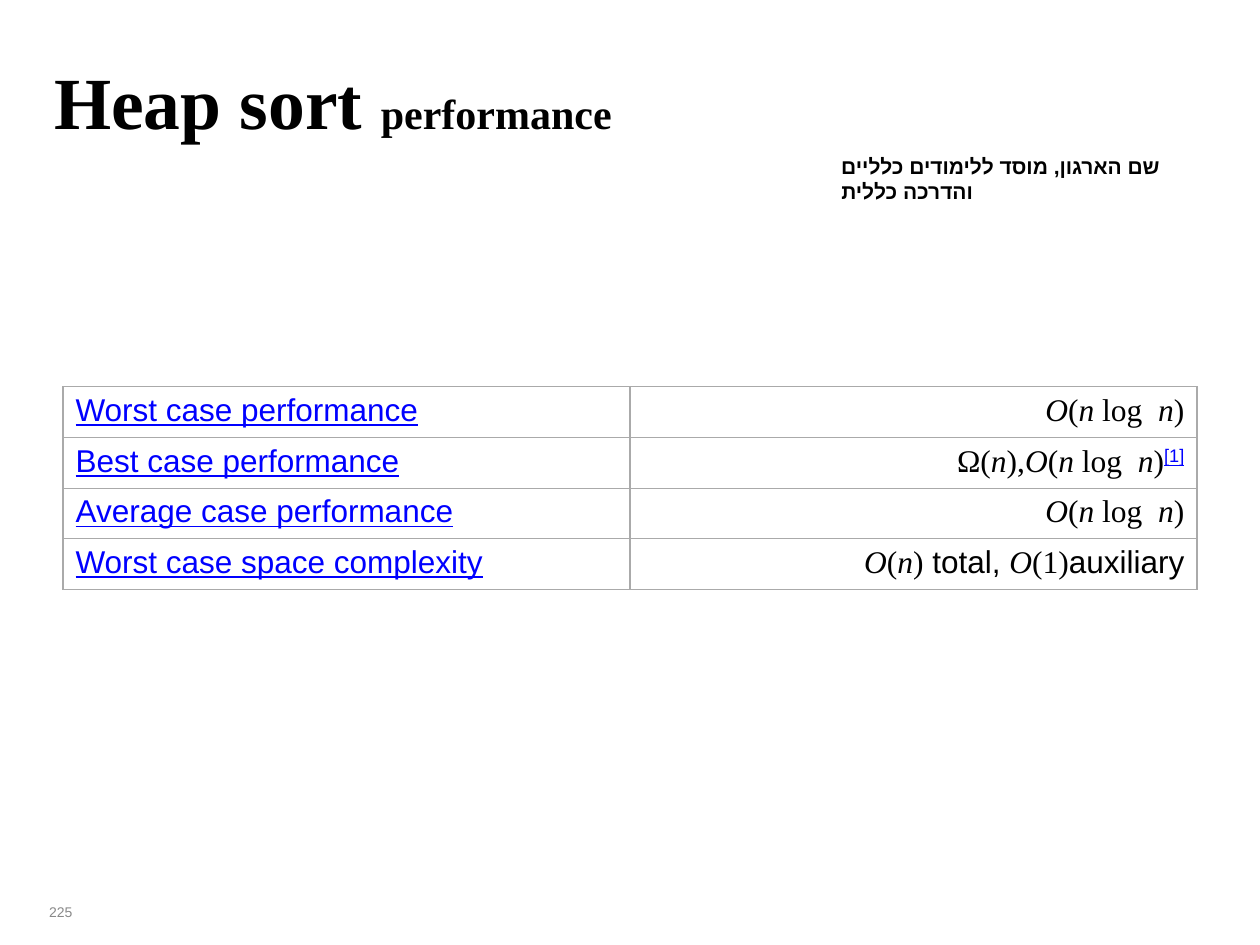
"""Build the heap sort performance slide."""
from lxml.etree import SubElement
from pptx import Presentation
from pptx.dml.color import RGBColor
from pptx.enum.text import MSO_ANCHOR as Anchor, PP_ALIGN as Align
from pptx.oxml.ns import qn
from pptx.util import Cm, Pt

SERIF, SANS = "Times New Roman", "Arial"
BLACK, BLUE, GREY, WHITE, BORDER = "000000", "0000FF", "898989", "FFFFFF", "AAAAAA"

STYLES = {
    "title": dict(font=SERIF, size=42, bold=True),
    "subtitle": dict(font=SERIF, size=24, bold=True),
    "banner": dict(font=SANS, size=12, bold=True),
    "number": dict(font=SANS, size=8, color=GREY),
    "link": dict(font=SANS, color=BLUE, underline=True),
    "note": dict(font=SANS, color=BLUE, underline=True, baseline=30),
    "variable": dict(font=SERIF, italic=True),
    "math": dict(font=SERIF),
    "word": dict(font=SANS),
}

TITLE = [("Heap sort ", "title"), ("performance", "subtitle")]
BANNER = [("שם הארגון, מוסד ללימודים כלליים והדרכה כללית", "banner")]
PAGE_NUMBER = [("225", "number")]
N = ("n", "variable")
O = ("O", "variable")
OPEN, CLOSE = ("(", "math"), (")", "math")
N_LOG_N = [O, OPEN, N, (" log  ", "math"), N, CLOSE]
PERFORMANCE = [
    ("Worst case performance", N_LOG_N),
    ("Best case performance",
     [("Ω(", "math"), N, ("),", "math"), *N_LOG_N, ("[1]", "note")]),
    ("Average case performance", N_LOG_N),
    ("Worst case space complexity",
     [O, OPEN, N, CLOSE, (" total, ", "word"), O, ("(1)", "math"), ("auxiliary", "word")]),
]


def rgb(value):
    return RGBColor.from_string(value)


def add_run(paragraph, text, font, size=18, color=BLACK, bold=False,
            italic=False, underline=False, baseline=0):
    run = paragraph.add_run()
    run.text = text
    run.font.name, run.font.size = font, Pt(size)
    run.font.bold, run.font.italic, run.font.underline = bold, italic, underline
    run.font.color.rgb = rgb(color)
    properties = run.font._element
    SubElement(properties, qn("a:cs"), typeface=font)
    if baseline:
        properties.set("baseline", str(baseline * 1000))


def write(text_frame, runs, align=Align.LEFT, rtl=True):
    paragraph = text_frame.paragraphs[0]
    paragraph.alignment = align
    if rtl:
        paragraph._p.get_or_add_pPr().set("rtl", "1")
    for text, style in runs:
        add_run(paragraph, text, **STYLES[style])


def add_text(slide, left, top, width, height, runs, wrap):
    text_frame = slide.shapes.add_textbox(Cm(left), Cm(top), Cm(width), Cm(height)).text_frame
    text_frame.word_wrap = wrap
    write(text_frame, runs)


def format_cell(cell):
    properties = cell._tc.get_or_add_tcPr()
    for side in ("a:lnL", "a:lnR", "a:lnT", "a:lnB"):
        line = SubElement(properties, qn(side), w=str(Pt(0.75)))
        SubElement(SubElement(line, qn("a:solidFill")), qn("a:srgbClr"), val=BORDER)
    cell.fill.solid()
    cell.fill.fore_color.rgb = rgb(WHITE)


def add_performance_table(slide):
    row_height = Cm(1.02)
    table = slide.shapes.add_table(len(PERFORMANCE), 2, Cm(1.27), Cm(7.8), Cm(22.86),
                                   row_height * len(PERFORMANCE)).table
    table.first_row = table.horz_banding = False
    for row, (label, complexity) in zip(table.rows, PERFORMANCE):
        row.height = row_height
        columns = (([(label, "link")], Align.LEFT), (complexity, Align.RIGHT))
        for cell, (runs, align) in zip(row.cells, columns):
            format_cell(cell)
            write(cell.text_frame, runs, align)


def main():
    presentation = Presentation()
    presentation.slide_width, presentation.slide_height = Cm(25.4), Cm(19.05)
    slide = presentation.slides.add_slide(presentation.slide_layouts[5])
    add_text(slide, 16.71, 2.97, 7.8, 0.76, BANNER, wrap=True)
    add_performance_table(slide)
    title = slide.shapes.title
    title.left, title.top, title.width, title.height = Cm(0.84), Cm(0.84), Cm(23.5), Cm(3.84)
    title.text_frame.vertical_anchor = Anchor.TOP
    title.text_frame.margin_top = Cm(0.29)
    write(title.text_frame, TITLE, rtl=False)
    add_text(slide, 0.74, 18.08, 0.99, 0.58, PAGE_NUMBER, wrap=False)
    presentation.save("out.pptx")


if __name__ == "__main__":
    main()
